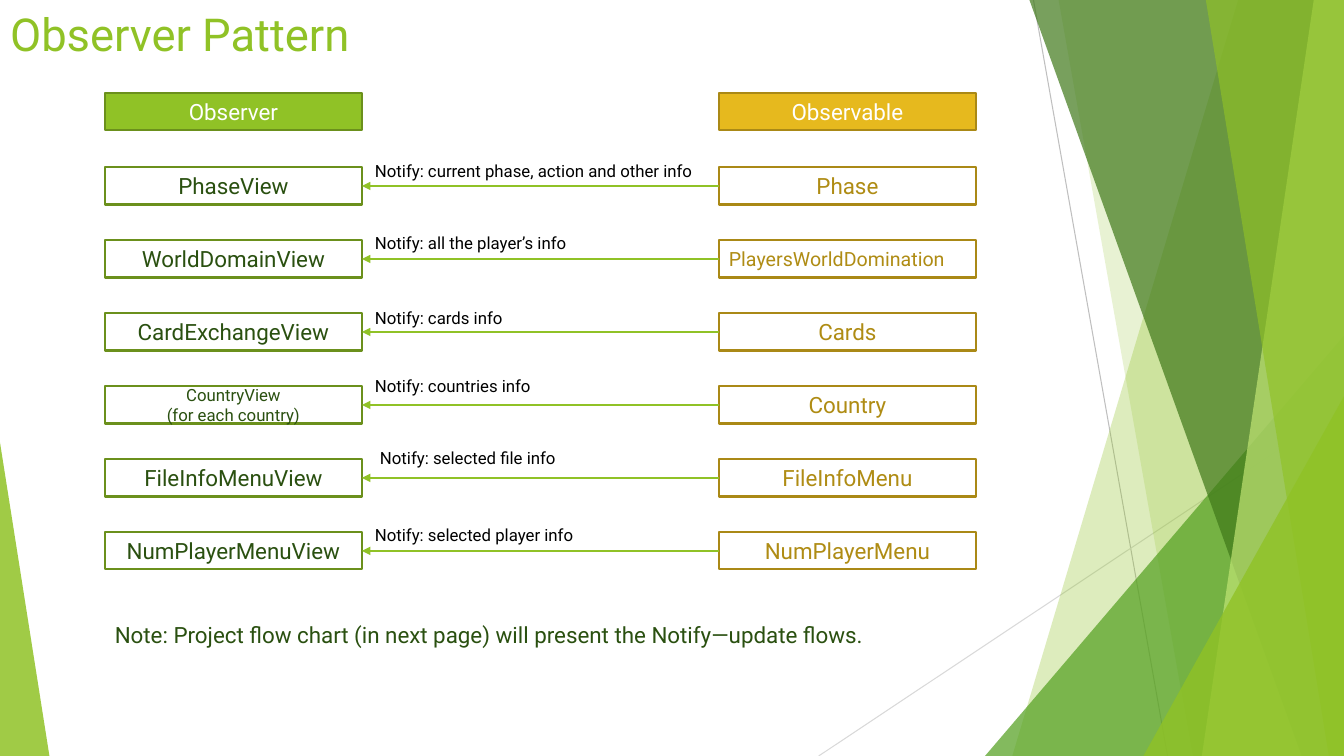
import pptx
import pptx.util
import pptx.dml.color
import pptx.enum.shapes
import pptx.enum.text
import pptx.oxml
import pptx.oxml.ns
from dataclasses import dataclass

# Content
TITLE = "Observer Pattern"
NOTE = "Note: Project flow chart (in next page) will present the Notify—update flows."
HEADERS = ("Observer", "Observable")
# observer, observable, message, message box (left, top, width)
ROWS = [
    ("PhaseView", "Phase", "Notify: current phase, action and other info", (362, 155, 351)),
    ("WorldDomainView", "PlayersWorldDomination", "Notify: all the player’s info", (362, 226, 223)),
    ("CardExchangeView", "Cards", "Notify: cards info", (362, 300, 151)),
    ("CountryView\n(for each country)", "Country", "Notify: countries info", (362, 368, 181)),
    ("FileInfoMenuView", "FileInfoMenu", "Notify: selected file info", (367, 439, 205)),
    ("NumPlayerMenuView", "NumPlayerMenu", "Notify: selected player info", (362, 516, 227)),
]


@dataclass(frozen=True)
class Theme:
    font: str = "Roboto"
    green: str = "90C226"
    green_line: str = "6B901C"
    green_text: str = "2A5010"
    gold: str = "E6B91E"
    gold_line: str = "AA8916"
    gold_text: str = "AF8C14"
    leaf: str = "54A021"
    forest: str = "3F7819"
    lime: str = "C0E474"
    white: str = "FFFFFF"
    black: str = "000000"
    title_size: float = 32.4
    box_size: int = 16
    long_size: int = 14
    small_size: int = 12


THEME = Theme()

# Layout, with 100 px to the inch
PX = 9144
WIDTH, HEIGHT = 1333, 750
OBSERVER_LEFT, OBSERVABLE_LEFT = 104, 713
BOX_WIDTH, BOX_HEIGHT = 255, 37
HEADER_TOP, FIRST_TOP, LAST_TOP = 92, 166, 528
ROW_PITCH = (LAST_TOP - FIRST_TOP) / (len(ROWS) - 1)

# Background: thin lines (start, end, colour), then facets in back-to-front order
# A facet is (corner points, colour, opacity in percent)
BACK_LINES = [((1025, 0), (1158, HEIGHT), "BFBFBF"),
              ((WIDTH, 403), (812, HEIGHT), "D9D9D9")]
FACETS = [
    ([(1228, 0), (WIDTH, 0), (WIDTH, HEIGHT), (1004, HEIGHT)], THEME.green, 30),
    ([(1050, 0), (WIDTH, 0), (WIDTH, HEIGHT), (1183, HEIGHT)], THEME.green, 20),
    ([(WIDTH, 333), (WIDTH, HEIGHT), (977, HEIGHT)], THEME.leaf, 72),
    ([(1021, 0), (WIDTH, 0), (WIDTH, HEIGHT), (1291, HEIGHT)], THEME.forest, 70),
    ([(1303, 0), (WIDTH, 0), (WIDTH, HEIGHT), (1192, HEIGHT)], THEME.lime, 70),
    ([(1196, 0), (WIDTH, 0), (WIDTH, HEIGHT), (1318, HEIGHT)], THEME.green, 65),
    ([(WIDTH, 393), (WIDTH, HEIGHT), (1134, HEIGHT)], THEME.green, 80),
    ([(0, 439), (49, HEIGHT), (0, HEIGHT)], THEME.green, 85),
]


def px(*lengths):
    return [pptx.util.Emu(round(length * PX)) for length in lengths]


def rgb(colour):
    return pptx.dml.color.RGBColor.from_string(colour)


def apply_format(target, values):
    for name, value in values.items():
        setattr(target, name, value)


def add_element(parent, tag, **attributes):
    element = pptx.oxml.ns.qn(tag)
    child = parent.makeelement(element, attributes)
    parent.append(child)
    return child


def write_text(shape, text, size, colour, align="LEFT", **frame_format):
    frame = shape.text_frame
    frame.text = text
    apply_format(frame, frame_format)
    for paragraph in frame.paragraphs:
        paragraph.alignment = getattr(pptx.enum.text.PP_ALIGN, align)
        apply_format(paragraph.font, {"name": THEME.font, "size": pptx.util.Pt(size)})
        paragraph.font.color.rgb = rgb(colour)


def add_line(slide, start, end, colour, weight, arrow=False):
    connector = slide.shapes.add_connector(
        pptx.enum.shapes.MSO_CONNECTOR.STRAIGHT, *px(*start, *end))
    connector.line.color.rgb = rgb(colour)
    connector.line.width = pptx.util.Pt(weight)
    if arrow:
        add_element(connector.line._get_or_add_ln(), "a:tailEnd", type="triangle")
    add_element(connector._element.spPr, "a:effectLst")
    return connector


def add_facet(slide, points, colour, opacity):
    builder = slide.shapes.build_freeform(*points[0], scale=PX)
    builder.add_line_segments(points[1:], close=True)
    facet = builder.convert_to_shape()
    facet.shadow.inherit = False
    facet.fill.solid()
    facet.fill.fore_color.rgb = rgb(colour)
    facet.line.fill.background()
    fill_colour = facet._element.spPr.find(".//" + pptx.oxml.ns.qn("a:srgbClr"))
    add_element(fill_colour, "a:alpha", val=str(opacity * 1000))


def add_box(slide, left, top, text, line, colour, fill=None, size=THEME.box_size, align="CENTER"):
    box = slide.shapes.add_shape(pptx.enum.shapes.MSO_SHAPE.RECTANGLE,
                                 *px(left, top, BOX_WIDTH, BOX_HEIGHT))
    box.shadow.inherit = False
    if fill:
        box.fill.solid()
        box.fill.fore_color.rgb = rgb(fill)
    else:
        box.fill.background()
    box.line.color.rgb = rgb(line)
    box.line.width = pptx.util.Pt(1.5)
    write_text(box, text, size, colour, align,
               vertical_anchor=pptx.enum.text.MSO_ANCHOR.MIDDLE)
    return box


def add_label(slide, left, top, width, height, text, size, colour):
    label = slide.shapes.add_textbox(*px(left, top, width, height))
    write_text(label, text, size, colour, word_wrap=False,
               auto_size=pptx.enum.text.MSO_AUTO_SIZE.SHAPE_TO_FIT_TEXT)


def main():
    presentation = pptx.Presentation()
    apply_format(presentation, dict(zip(("slide_width", "slide_height"), px(WIDTH, HEIGHT))))
    slide = presentation.slides.add_slide(presentation.slide_layouts[5])

    # Background
    for start, end, colour in BACK_LINES:
        add_line(slide, start, end, colour, 0.75)
    for points, colour, opacity in FACETS:
        add_facet(slide, points, colour, opacity)

    # Title
    title = slide.shapes.title
    apply_format(title, dict(zip(("left", "top", "width", "height"), px(0, 0, 940, 65))))
    write_text(title, TITLE, THEME.title_size, THEME.green,
               vertical_anchor=pptx.enum.text.MSO_ANCHOR.BOTTOM,
               auto_size=pptx.enum.text.MSO_AUTO_SIZE.NONE)

    # Column headers
    add_box(slide, OBSERVER_LEFT, HEADER_TOP, HEADERS[0],
            THEME.green_line, THEME.white, THEME.green)
    add_box(slide, OBSERVABLE_LEFT, HEADER_TOP, HEADERS[1],
            THEME.gold_line, THEME.white, THEME.gold)

    # Observer and observable pairs, joined by notifications
    for index, (observer, observable, message, (left, label_top, width)) in enumerate(ROWS):
        top = FIRST_TOP + index * ROW_PITCH
        observer_size = THEME.small_size if "\n" in observer else THEME.box_size
        is_long = len(observable) > 20
        target = add_box(slide, OBSERVER_LEFT, top, observer,
                         THEME.green_line, THEME.green_text, size=observer_size)
        source = add_box(slide, OBSERVABLE_LEFT, top, observable,
                         THEME.gold_line, THEME.gold_text,
                         size=THEME.long_size if is_long else THEME.box_size,
                         align="LEFT" if is_long else "CENTER")
        middle = top + BOX_HEIGHT / 2
        arrow = add_line(slide, (OBSERVABLE_LEFT, middle), (OBSERVER_LEFT + BOX_WIDTH, middle),
                         THEME.green, 1, arrow=True)
        arrow.begin_connect(source, 1)
        arrow.end_connect(target, 3)
        add_label(slide, left, label_top, width, 30, message, THEME.small_size, THEME.black)

    # Note
    add_label(slide, 104, 611, 803, 37, NOTE, THEME.box_size, THEME.green_text)

    presentation.save("out.pptx")


if __name__ == "__main__":
    main()
